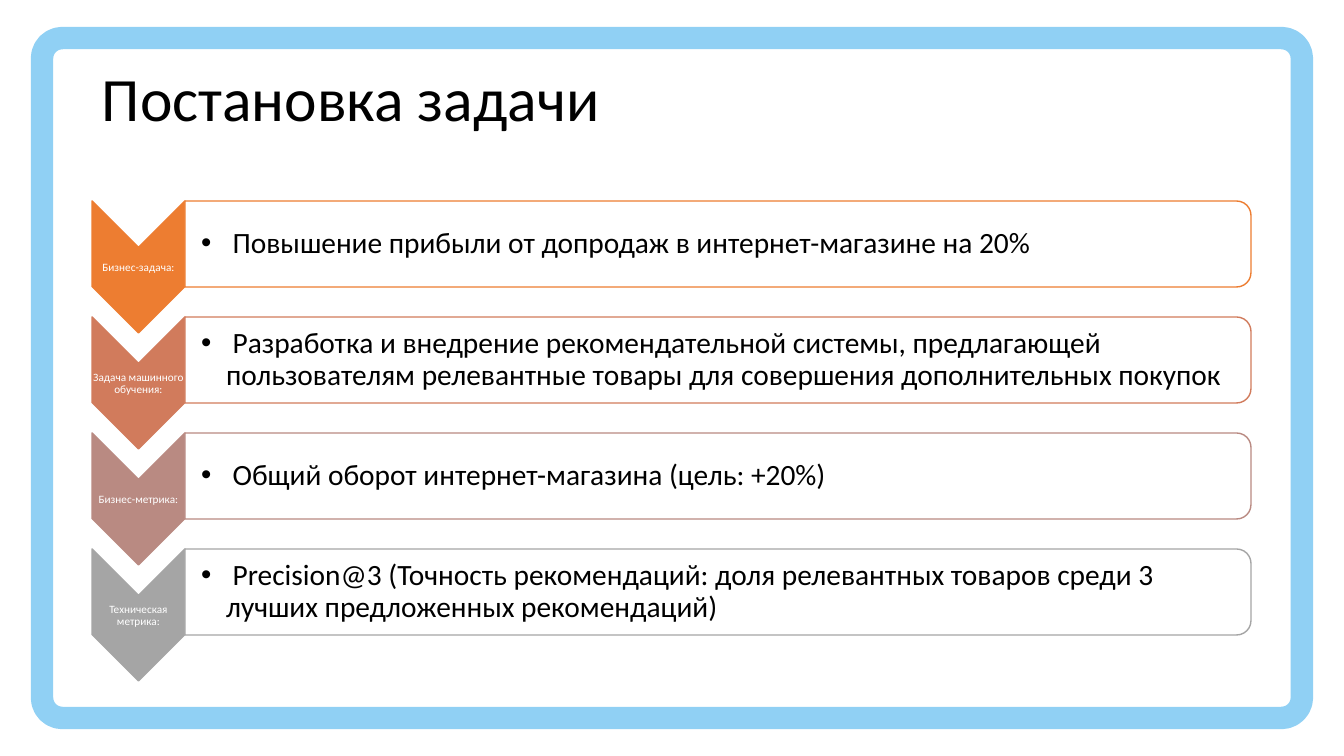
import pptx
import pptx.dml.color
import pptx.enum.shapes
import pptx.enum.text
import pptx.oxml
import pptx.oxml.ns
import pptx.util

EMU_PER_PX = 914400 / 100.8
FONT = "Calibri"
SHAPES = pptx.enum.shapes.MSO_SHAPE
ALIGN = pptx.enum.text.PP_ALIGN

ROW_PITCH = 116
GOALS = [
    ("ED7D31", "Бизнес-задача:",
     "Повышение прибыли от допродаж в интернет-магазине на 20%"),
    ("D17B5C", "Задача машинного обучения:",
     "Разработка и внедрение рекомендательной системы, предлагающей "
     "пользователям релевантные товары для совершения дополнительных покупок"),
    ("B98A82", "Бизнес-метрика:",
     "Общий оборот интернет-магазина (цель: +20%)"),
    ("A5A5A5", "Техническая метрика:",
     "Precision@3 (Точность рекомендаций: доля релевантных товаров среди 3 "
     "лучших предложенных рекомендаций)"),
]


def px(length):
    return pptx.util.Emu(round(length * EMU_PER_PX))


def color(hex_code):
    return pptx.dml.color.RGBColor.from_string(hex_code)


def add_outline(slide, kind, box, fill, line, line_pt=1, turned=False):
    """Place a preset shape; a turned one fills its box after a 90° rotation."""
    left, top, width, height = box
    if turned:
        left, top = left + (width - height) / 2, top + (height - width) / 2
        width, height = height, width
    shape = slide.shapes.add_shape(kind, px(left), px(top), px(width), px(height))
    shape.rotation = 90 if turned else 0
    shape.shadow.inherit = False
    shape.fill.solid()
    shape.fill.fore_color.rgb = color(fill)
    shape.line.color.rgb = color(line)
    shape.line.width = pptx.util.Pt(line_pt)
    return shape


def add_text(slide, box, text, size, hex_code, align=ALIGN.LEFT, inset=0):
    """Place one vertically centred paragraph and return it."""
    frame = slide.shapes.add_textbox(*map(px, box)).text_frame
    frame.word_wrap = True
    frame.vertical_anchor = pptx.enum.text.MSO_ANCHOR.MIDDLE
    frame.margin_left = px(inset)
    frame.margin_right = frame.margin_top = frame.margin_bottom = 0
    paragraph = frame.paragraphs[0]
    paragraph.alignment = align
    paragraph.line_spacing = 0.9
    run = paragraph.add_run()
    run.text = text
    run.font.name = FONT
    run.font.size = pptx.util.Pt(size)
    run.font.color.rgb = color(hex_code)
    return paragraph


def add_bullet(paragraph, indent):
    properties = paragraph._p.get_or_add_pPr()
    properties.set("marL", str(px(indent)))
    properties.set("indent", str(-px(indent)))
    namespace = pptx.oxml.ns.nsdecls("a")
    properties.append(pptx.oxml.parse_xml(f'<a:buFont {namespace} typeface="Arial"/>'))
    properties.append(pptx.oxml.parse_xml(f'<a:buChar {namespace} char="•"/>'))


def build_frame(slide, box):
    frame = add_outline(slide, SHAPES.ROUNDED_RECTANGLE, box, "FFFFFF", "90D0F4", 16)
    frame.adjustments[0] = 0.03


def build_title(slide, box):
    add_text(slide, box, "Постановка задачи", 44, "000000", inset=10)


def build_goal(slide, box, accent, label, goal):
    left, top, width, height = box
    arrow_width, panel_height = 93, 86
    panel_left, panel_width = left + arrow_width, width - arrow_width

    # Downward arrow with its label
    add_outline(slide, SHAPES.CHEVRON, (left, top, arrow_width, height),
                accent, accent, turned=True)
    add_text(slide, (left, top + 47, arrow_width, 39), label, 8, "FFFFFF", ALIGN.CENTER)

    # Panel rounded on the right with the goal
    add_outline(slide, SHAPES.ROUND_2_SAME_RECTANGLE,
                (panel_left, top, panel_width, panel_height),
                "FFFFFF", accent, turned=True)
    goal_line = add_text(slide, (panel_left, top + 4, panel_width - 4, panel_height - 8),
                         " " + goal, 21, "000000", inset=16)
    add_bullet(goal_line, 25)


def main():
    presentation = pptx.Presentation()
    presentation.slide_width = px(1344)
    presentation.slide_height = px(756)
    slide = presentation.slides.add_slide(presentation.slide_layouts[6])

    build_frame(slide, (42, 38, 1260, 680))
    build_title(slide, (92, 54, 1160, 96))
    for row, (accent, label, goal) in enumerate(GOALS):
        build_goal(slide, (92, 201 + row * ROW_PITCH, 1159, 132), accent, label, goal)

    presentation.save("out.pptx")


if __name__ == "__main__":
    main()
